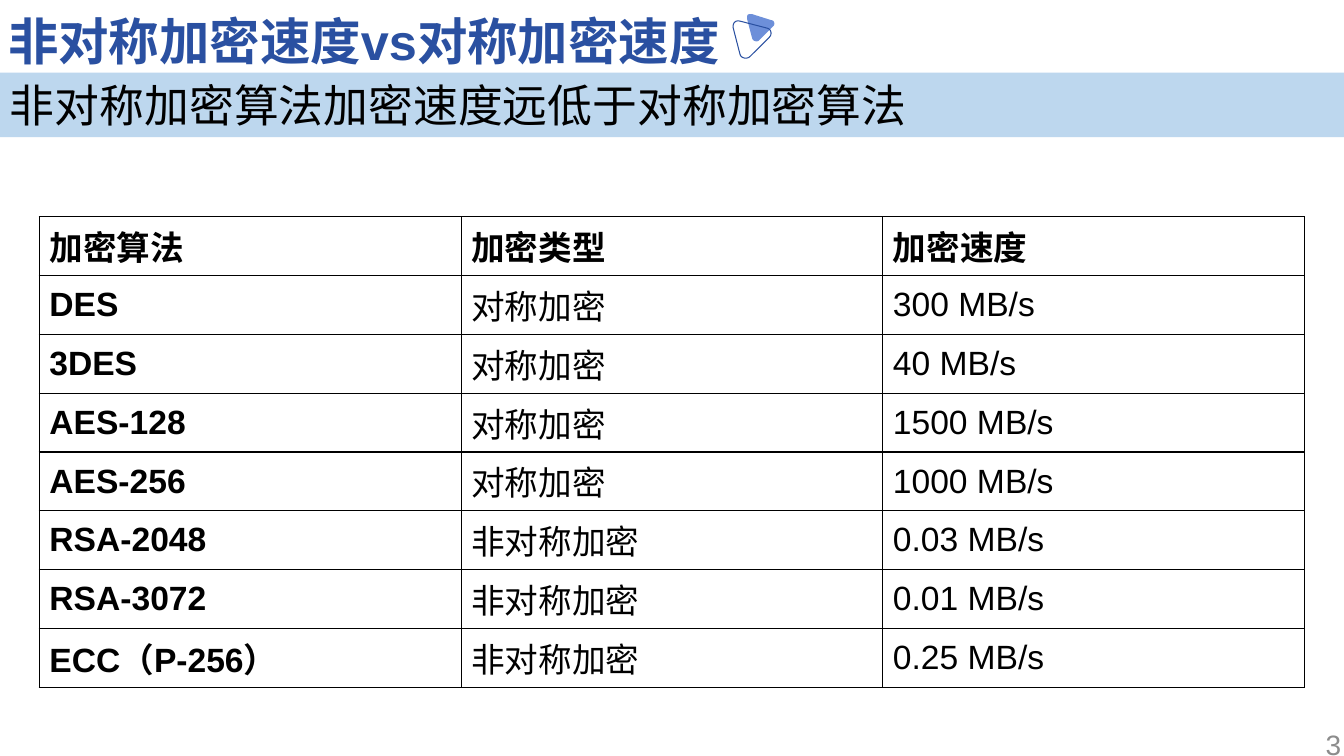
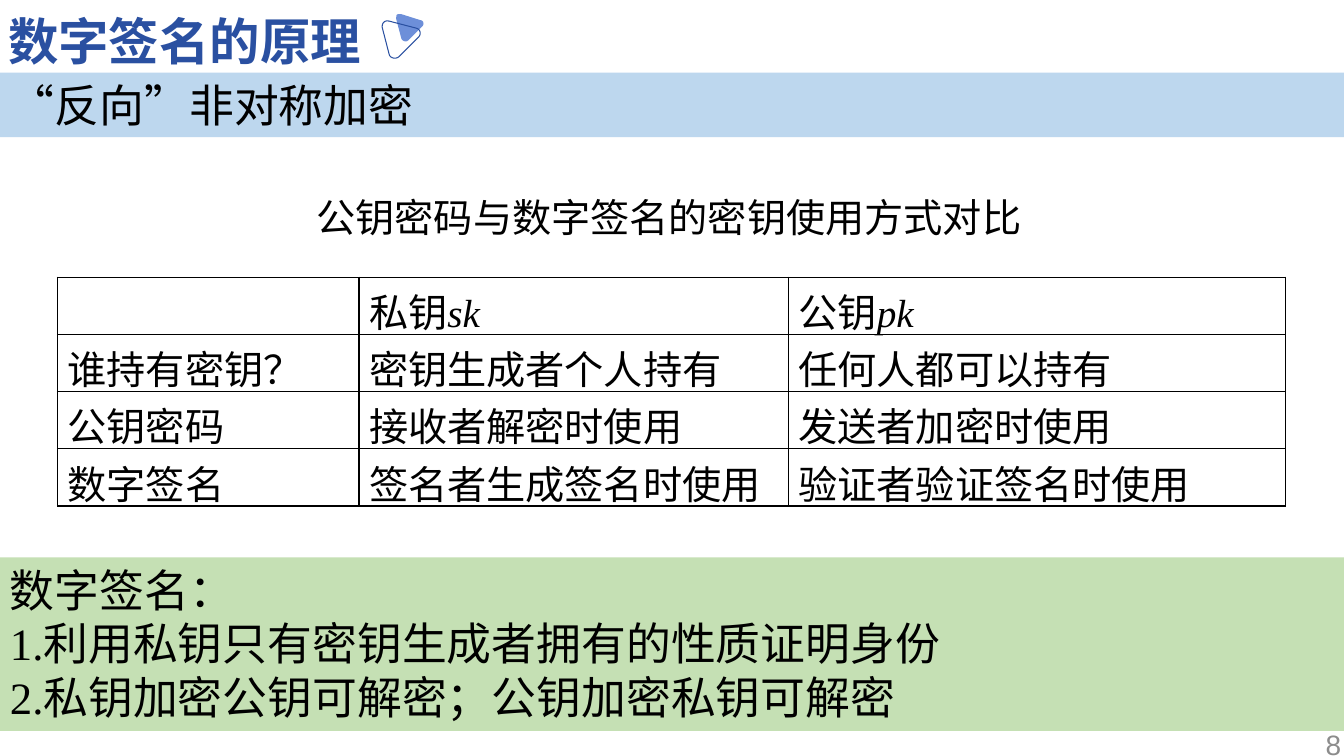
from dataclasses import dataclass

import lxml.etree
import pptx
import pptx.dml.color
import pptx.enum.shapes
import pptx.enum.text
import pptx.oxml
import pptx.oxml.ns
import pptx.util

Inches = pptx.util.Inches
Pt = pptx.util.Pt
RGB = pptx.dml.color.RGBColor
Align = pptx.enum.text.PP_ALIGN
Anchor = pptx.enum.text.MSO_ANCHOR

NAVY = RGB(0x2A, 0x50, 0xA1)
BLUE = RGB(0x6D, 0x8F, 0xD9)
SKY = RGB(0xBD, 0xD7, 0xEE)
GREEN = RGB(0xC5, 0xE0, 0xB4)
GRAY = RGB(0x8C, 0x8C, 0x8C)
BLACK = RGB(0, 0, 0)
SANS = "Arial"
SERIF = "Times New Roman"
WIDTH = 13.33

Point = tuple[float, float]
Curve = tuple[Point, Point, Point, Point]
SOLID: list[Curve] = [
    ((0.33, 0.4), (0.31, 0.42), (0.27, 0.41), (0.26, 0.38)),
    ((0.21, 0.19), (0.21, 0.14), (0.21, 0.14), (0.26, 0.14)),
    ((0.45, 0.2), (0.48, 0.2), (0.49, 0.24), (0.47, 0.26)),
]
HOLLOW: list[Curve] = [
    ((0.24, 0.56), (0.21, 0.59), (0.15, 0.58), (0.14, 0.54)),
    ((0.07, 0.27), (0.07, 0.22), (0.1, 0.2), (0.14, 0.21)),
    ((0.41, 0.28), (0.45, 0.29), (0.46, 0.34), (0.43, 0.37)),
]


@dataclass
class Page:
    """Head matter of one slide."""

    title: str
    claim: str
    number: str
    mark: float


@dataclass
class Grid:
    """Place, sizes and text of a table."""

    left: float
    top: float
    cols: list[float]
    height: float
    size: int
    rows: list[list[str]]
    bold: bool = False


SPEED = Page("非对称加密速度vs对称加密速度", "非对称加密算法加密速度远低于对称加密算法", "3", 7.2)
SIGN = Page("数字签名的原理", "“反向”非对称加密", "8", 3.72)
RATES = Grid(0.39, 2.15, [12.55 / 3] * 3, 4.67, 24, [
    ["加密算法", "加密类型", "加密速度"],
    ["DES", "对称加密", "300 MB/s"],
    ["3DES", "对称加密", "40 MB/s"],
    ["AES-128", "对称加密", "1500 MB/s"],
    ["AES-256", "对称加密", "1000 MB/s"],
    ["RSA-2048", "非对称加密", "0.03 MB/s"],
    ["RSA-3072", "非对称加密", "0.01 MB/s"],
    ["ECC（P-256）", "非对称加密", "0.25 MB/s"],
], bold=True)
KEYS = Grid(0.57, 2.75, [2.99, 4.26, 4.93], 2.27, 28, [
    ["", "私钥|sk", "公钥|pk"],
    ["谁持有密钥？", "密钥生成者个人持有", "任何人都可以持有"],
    ["公钥密码", "接收者解密时使用", "发送者加密时使用"],
    ["数字签名", "签名者生成签名时使用", "验证者验证签名时使用"],
])
NOTES = [
    "数字签名：",
    "1.利用私钥只有密钥生成者拥有的性质证明身份",
    "2.私钥加密公钥可解密；公钥加密私钥可解密",
]


def write(frame, text: str, *, size: int, font: str = SANS, color: RGB = BLACK,
          bold: bool = False, align: Align = Align.LEFT) -> None:
    """Fill a frame with lines, setting what follows a bar in serif italics."""
    for i, line in enumerate(text.split("\n")):
        para = frame.add_paragraph() if i else frame.paragraphs[0]
        para.alignment = align
        para.font.size = Pt(size)
        for j, part in enumerate(line.split("|")):
            run = para.add_run()
            run.text = part
            run.font.size = Pt(size)
            run.font.name = SERIF if j else font
            run.font.italic = bool(j)
            run.font.bold = bold
            run.font.color.rgb = color


def label(slide, text: str, left: float, top: float, width: float, height: float,
          **form) -> None:
    """Add a text box centred on its height."""
    box = slide.shapes.add_textbox(*map(Inches, (left, top, width, height)))
    box.text_frame.word_wrap = True
    box.text_frame.vertical_anchor = Anchor.MIDDLE
    write(box.text_frame, text, **form)


def band(slide, text: str, top: float, height: float, fill: RGB) -> None:
    """Add a full-width colour band with text."""
    kind = pptx.enum.shapes.MSO_SHAPE.RECTANGLE
    box = slide.shapes.add_shape(kind, 0, Inches(top), Inches(WIDTH), Inches(height))
    box.shadow.inherit = False
    box.fill.solid()
    box.fill.fore_color.rgb = fill
    box.line.fill.background()
    box.text_frame.word_wrap = True
    box.text_frame.vertical_anchor = Anchor.TOP
    write(box.text_frame, text, size=32, font=SERIF)


def trace(curves: list[Curve], left: float, steps: int = 8) -> list[tuple[int, int]]:
    """Sample the rounded corners of an outline."""
    spots = []
    for curve in curves:
        for i in range(steps + 1):
            t = i / steps
            u = 1 - t
            x, y = (u**3 * a + 3 * u * u * t * b + 3 * u * t * t * c + t**3 * d
                    for a, b, c, d in zip(*curve))
            spots.append((Inches(left + x), Inches(y)))
    return spots


def mark(slide, curves: list[Curve], left: float, solid: bool) -> None:
    """Draw one rounded triangle beside the title."""
    first, *rest = trace(curves, left)
    pen = slide.shapes.build_freeform(*first)
    pen.add_line_segments(rest, close=True)
    shape = pen.convert_to_shape()
    shape.shadow.inherit = False
    if solid:
        shape.fill.solid()
        shape.fill.fore_color.rgb = BLUE
        shape.line.fill.background()
    else:
        shape.fill.background()
        shape.line.color.rgb = NAVY
        shape.line.width = Pt(0.75)


def rule(cell) -> None:
    """Give a cell thin black borders on all sides."""
    props = cell._tc.get_or_add_tcPr()
    qn = pptx.oxml.ns.qn
    for i, side in enumerate(("a:lnL", "a:lnR", "a:lnT", "a:lnB")):
        line = lxml.etree.Element(qn(side), w=str(Pt(1)))
        fill = lxml.etree.SubElement(line, qn("a:solidFill"))
        lxml.etree.SubElement(fill, qn("a:srgbClr"), val=str(BLACK))
        props.insert(i, line)


def table(slide, grid: Grid) -> None:
    """Draw a plain ruled table."""
    count = len(grid.rows)
    size = (grid.left, grid.top, sum(grid.cols), grid.height)
    body = slide.shapes.add_table(count, len(grid.cols), *map(Inches, size)).table
    for col, width in zip(body.columns, grid.cols):
        col.width = Inches(width)
    for i, texts in enumerate(grid.rows):
        body.rows[i].height = Inches(grid.height / count)
        for j, text in enumerate(texts):
            cell = body.cell(i, j)
            cell.fill.background()
            cell.vertical_anchor = Anchor.MIDDLE
            rule(cell)
            if text:
                write(cell.text_frame, text, size=grid.size,
                      bold=grid.bold and (i == 0 or j == 0))
            else:
                cell.text_frame.paragraphs[0].font.size = Pt(grid.size)


def start(deck, page: Page):
    """Add a slide with its title, mark, band and number."""
    slide = deck.slides.add_slide(deck.slide_layouts[5])
    title = slide.shapes.title
    title.left, title.top = Inches(0.08), Inches(0.1)
    title.width, title.height = Inches(12), Inches(0.5)
    text = title.text_frame
    text.margin_left = text.margin_right = text.margin_top = text.margin_bottom = 0
    text.auto_size = pptx.enum.text.MSO_AUTO_SIZE.NONE
    text.vertical_anchor = Anchor.TOP
    write(text, page.title, size=36, color=NAVY, bold=True)
    mark(slide, SOLID, page.mark, True)
    mark(slide, HOLLOW, page.mark, False)
    band(slide, page.claim, 0.72, 0.64, SKY)
    label(slide, page.number, 10.4, 7.18, 3, 0.4, size=20, color=GRAY, align=Align.RIGHT)
    return slide


def main() -> None:
    """Build and save the deck."""
    deck = pptx.Presentation()
    deck.slide_width, deck.slide_height = Inches(WIDTH), Inches(7.5)
    table(start(deck, SPEED), RATES)
    slide = start(deck, SIGN)
    band(slide, "\n".join(NOTES), 5.53, 1.72, GREEN)
    table(slide, KEYS)
    label(slide, "公钥密码与数字签名的密钥使用方式对比", 3.04, 1.87, 7.26, 0.57, size=28)
    deck.save("out.pptx")


if __name__ == "__main__":
    main()
